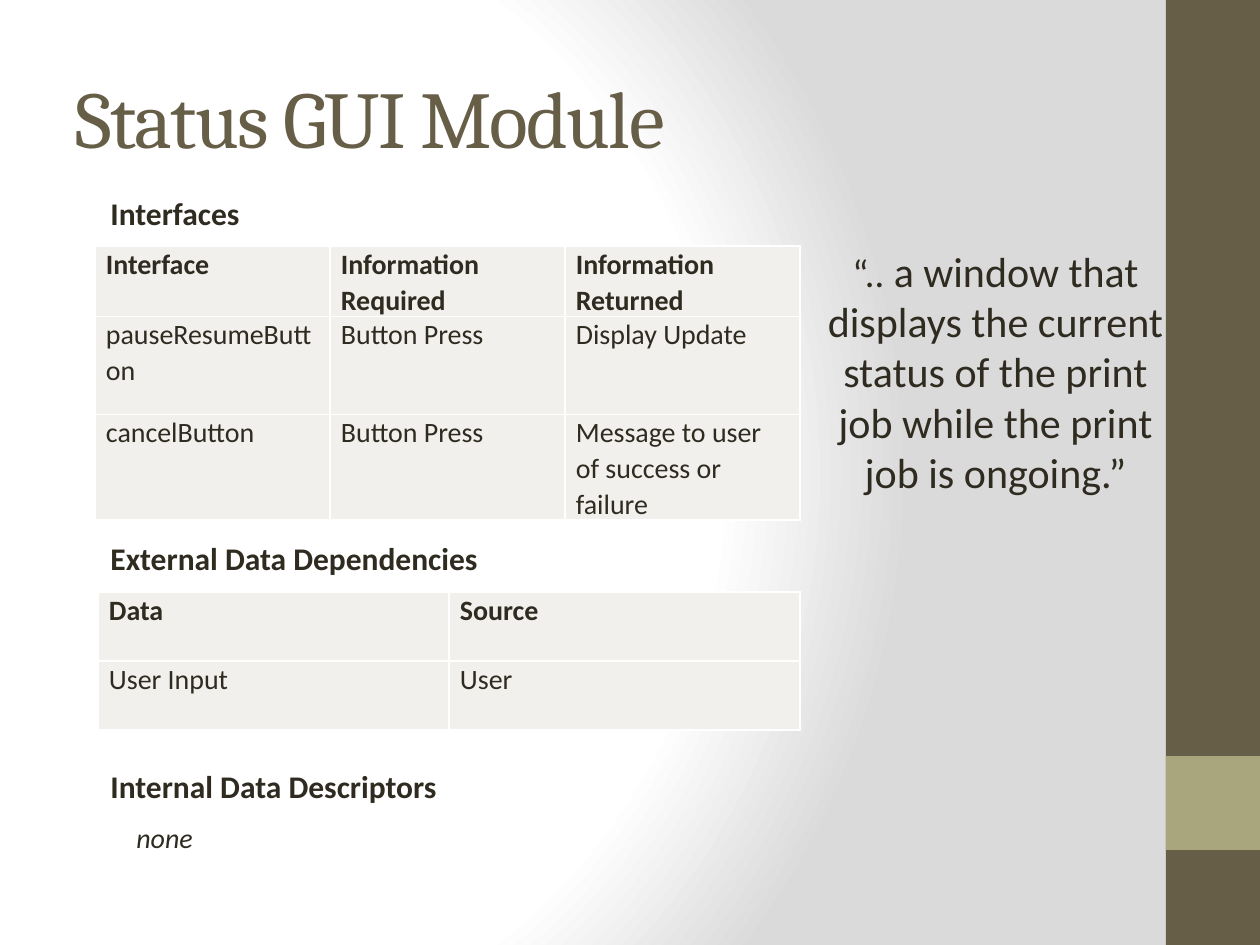
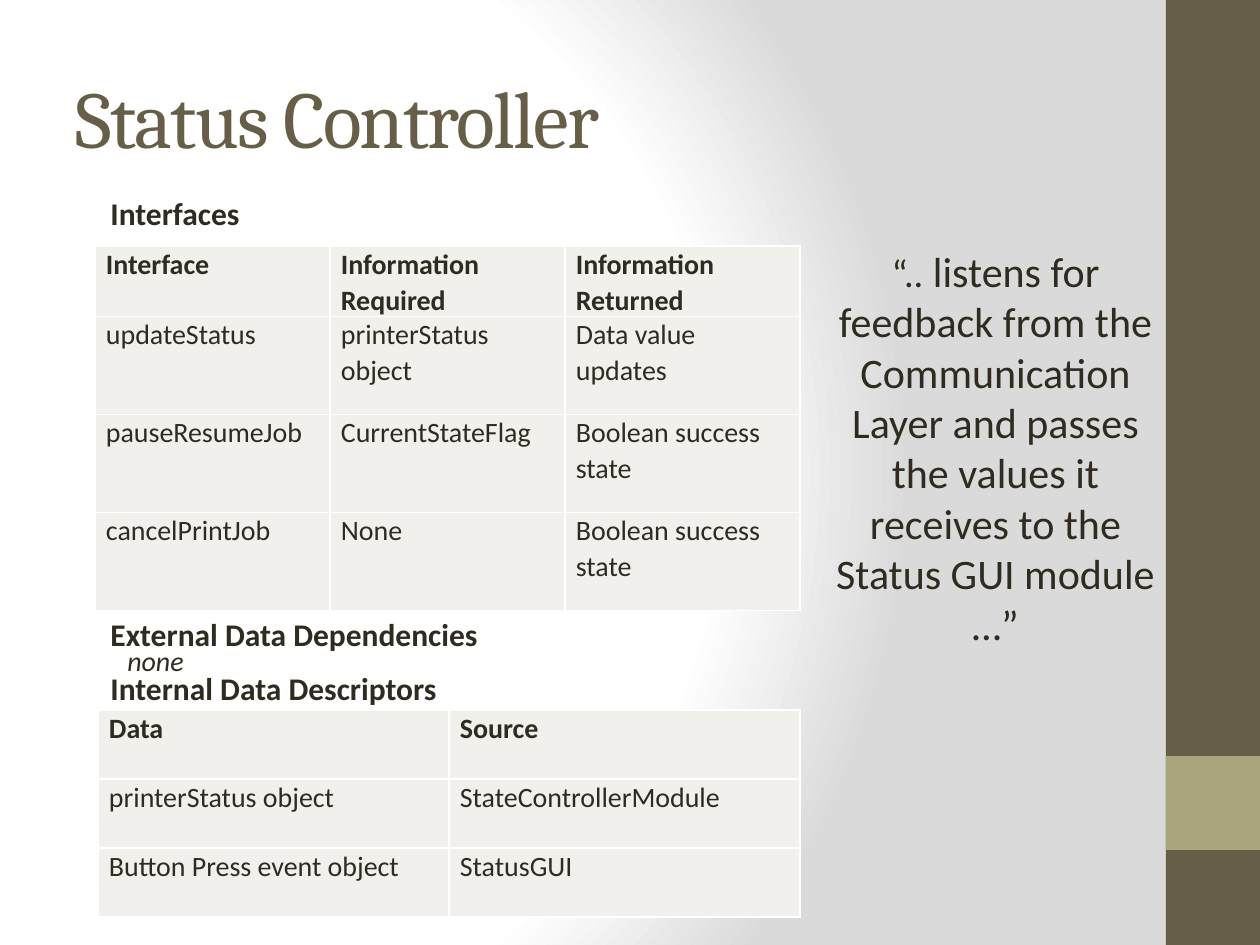
from pptx import Presentation
from pptx.dml.color import RGBColor
from pptx.enum.shapes import MSO_SHAPE
from pptx.enum.text import MSO_ANCHOR, MSO_AUTO_SIZE, PP_ALIGN
from pptx.oxml import parse_xml
from pptx.oxml.ns import nsdecls, qn
from pptx.util import Emu, Pt

PX_PER_INCH = 126
EMU_PER_INCH = 914400
PAGE_WIDTH, PAGE_HEIGHT = 1260, 945

BROWN = RGBColor(0x67, 0x5E, 0x47)
OLIVE = RGBColor(0xA9, 0xA5, 0x7C)
INK = RGBColor(0x2F, 0x2B, 0x20)
CELL = RGBColor(0xF1, 0xF0, 0xEC)
WHITE = RGBColor(0xFF, 0xFF, 0xFF)
GREY = RGBColor(0xDA, 0xDA, 0xDA)

TITLE_FONT = "Cambria"
BODY_FONT = "Calibri"
BAND_LEFT = 1166
TEXT_LEFT = 98
CELL_INSET = 11

INTERFACE_HEADER = ("Interface", "Information Required", "Information Returned")
DATA_HEADER = ("Data", "Source")


def px(length):
    return Emu(round(length * EMU_PER_INCH / PX_PER_INCH))


def place(shape, left, top, width, height):
    shape.left, shape.top = px(left), px(top)
    shape.width, shape.height = px(width), px(height)


def style_span(span, size, color=INK, name=BODY_FONT, bold=False, italic=False):
    font = span.font
    font.size, font.name = Pt(size), name
    font.bold, font.italic = bold, italic
    font.color.rgb = color


def paint_background(page):
    page.background.fill.gradient()
    gradient = page.element.find(".//" + qn("a:gradFill"))
    stops = "".join(
        f'<a:gs pos="{position * 1000}"><a:srgbClr val="{color}"/></a:gs>'
        for position, color in ((0, WHITE), (75, WHITE), (100, GREY))
    )
    radial = parse_xml(
        f'<a:gradFill rotWithShape="1" {nsdecls("a")}><a:gsLst>{stops}</a:gsLst>'
        '<a:path path="circle"><a:fillToRect l="20000" t="50000" r="100000" b="50000"/>'
        "</a:path></a:gradFill>"
    )
    gradient.getparent().replace(gradient, radial)


def add_band(page, top, height, color):
    band = page.shapes.add_shape(
        MSO_SHAPE.RECTANGLE, px(BAND_LEFT), px(top), px(PAGE_WIDTH - BAND_LEFT), px(height)
    )
    band.shadow.inherit = False
    band.fill.solid()
    band.fill.fore_color.rgb = color
    band.line.fill.background()


def set_title(page, text):
    title = page.shapes.title
    place(title, 63, 38, 1050, 157)
    frame = title.text_frame
    frame.text = text
    frame.word_wrap = True
    frame.vertical_anchor = MSO_ANCHOR.MIDDLE
    para = frame.paragraphs[0]
    para.alignment = PP_ALIGN.LEFT
    span = para.runs[0]
    style_span(span, 46, BROWN, TITLE_FONT)
    span.font._element.set("spc", "-100")


def add_page(deck, title):
    page = deck.slides.add_slide(deck.slide_layouts[5])
    paint_background(page)
    add_band(page, 0, PAGE_HEIGHT, BROWN)
    add_band(page, 756, 94, OLIVE)
    set_title(page, title)
    return page


def add_box(page, left, top, width, height):
    box = page.shapes.add_textbox(px(left), px(top), px(width), px(height))
    box.text_frame.word_wrap = True
    box.text_frame.auto_size = MSO_AUTO_SIZE.SHAPE_TO_FIT_TEXT
    return box.text_frame


def add_heading(page, text, top):
    frame = add_box(page, TEXT_LEFT, top, 450, 50)
    frame.text = text
    style_span(frame.paragraphs[0].runs[0], 18, bold=True)


def add_none(page, left, top):
    frame = add_box(page, left, top, 250, 47)
    frame.text = "none"
    style_span(frame.paragraphs[0].runs[0], 16, italic=True)


def add_quote(page, text, height):
    para = add_box(page, 809, 239, 373, height).paragraphs[0]
    para.alignment = PP_ALIGN.CENTER
    for words, size in (("“..", 22), (" " + text, 24)):
        span = para.add_run()
        span.text = words
        style_span(span, size)


def add_cell_borders(cell):
    properties = cell._tc.get_or_add_tcPr()
    for index, side in enumerate(("lnL", "lnR", "lnT", "lnB")):
        properties.insert(index, parse_xml(
            f'<a:{side} w="{Pt(1)}" {nsdecls("a")}><a:solidFill>'
            f'<a:srgbClr val="{WHITE}"/></a:solidFill></a:{side}>'
        ))


def fill_cell(cell, text, is_header, is_last):
    cell.fill.solid()
    cell.fill.fore_color.rgb = CELL
    add_cell_borders(cell)
    cell.margin_left = cell.margin_right = px(CELL_INSET)
    cell.margin_top = cell.margin_bottom = 0
    cell.text_frame.text = text
    para = cell.text_frame.paragraphs[0]
    para.alignment = PP_ALIGN.JUSTIFY if is_header else PP_ALIGN.LEFT
    para.line_spacing = 1.05
    para.space_after = Pt(0 if is_last else 8)
    style_span(para.runs[0], 16, bold=is_header)


def add_grid(page, rows, left, top, column_width, header_height, row_height):
    heights = [header_height] + [row_height] * (len(rows) - 1)
    columns = len(rows[0])
    table = page.shapes.add_table(
        len(rows), columns, px(left), px(top), px(column_width * columns), px(sum(heights))
    ).table
    table.first_row = table.horz_banding = False
    for column in table.columns:
        column.width = px(column_width)
    for index, texts in enumerate(rows):
        table.rows[index].height = px(heights[index])
        for position, text in enumerate(texts):
            fill_cell(table.cell(index, position), text, index == 0, index == len(rows) - 1)


def add_interfaces(page, *rows):
    add_heading(page, "Interfaces", 188)
    add_grid(page, (INTERFACE_HEADER, *rows), 95, 246, 235, 64, 98)


def add_data(page, top, *rows):
    add_grid(page, (DATA_HEADER, *rows), TEXT_LEFT, top, 351, 69, 69)


def add_status_gui(deck):
    page = add_page(deck, "Status GUI Module")
    add_interfaces(
        page,
        ("pauseResumeButton", "Button Press", "Display Update"),
        ("cancelButton", "Button Press", "Message to user of success or failure"),
    )
    add_heading(page, "External Data Dependencies", 533)
    add_data(page, 592, ("User Input", "User"))
    add_heading(page, "Internal Data Descriptors", 761)
    add_none(page, 124, 814)
    add_quote(
        page,
        "a window that displays the current status of the print job "
        "while the print job is ongoing.”",
        267,
    )


def add_status_controller(deck):
    page = add_page(deck, "Status Controller")
    add_interfaces(
        page,
        ("updateStatus", "printerStatus object", "Data value updates"),
        ("pauseResumeJob", "CurrentStateFlag", "Boolean success state"),
        ("cancelPrintJob", "None", "Boolean success state"),
    )
    add_heading(page, "External Data Dependencies", 609)
    add_none(page, 115, 637)
    add_heading(page, "Internal Data Descriptors", 663)
    add_data(
        page,
        710,
        ("printerStatus object", "StateControllerModule"),
        ("Button Press event object", "StatusGUI"),
    )
    add_quote(
        page,
        "listens for feedback from the Communication Layer and passes "
        "the values it receives to the Status GUI module …”",
        420,
    )


def main():
    deck = Presentation()
    deck.slide_width, deck.slide_height = px(PAGE_WIDTH), px(PAGE_HEIGHT)
    add_status_gui(deck)
    add_status_controller(deck)
    deck.save("out.pptx")


if __name__ == "__main__":
    main()
